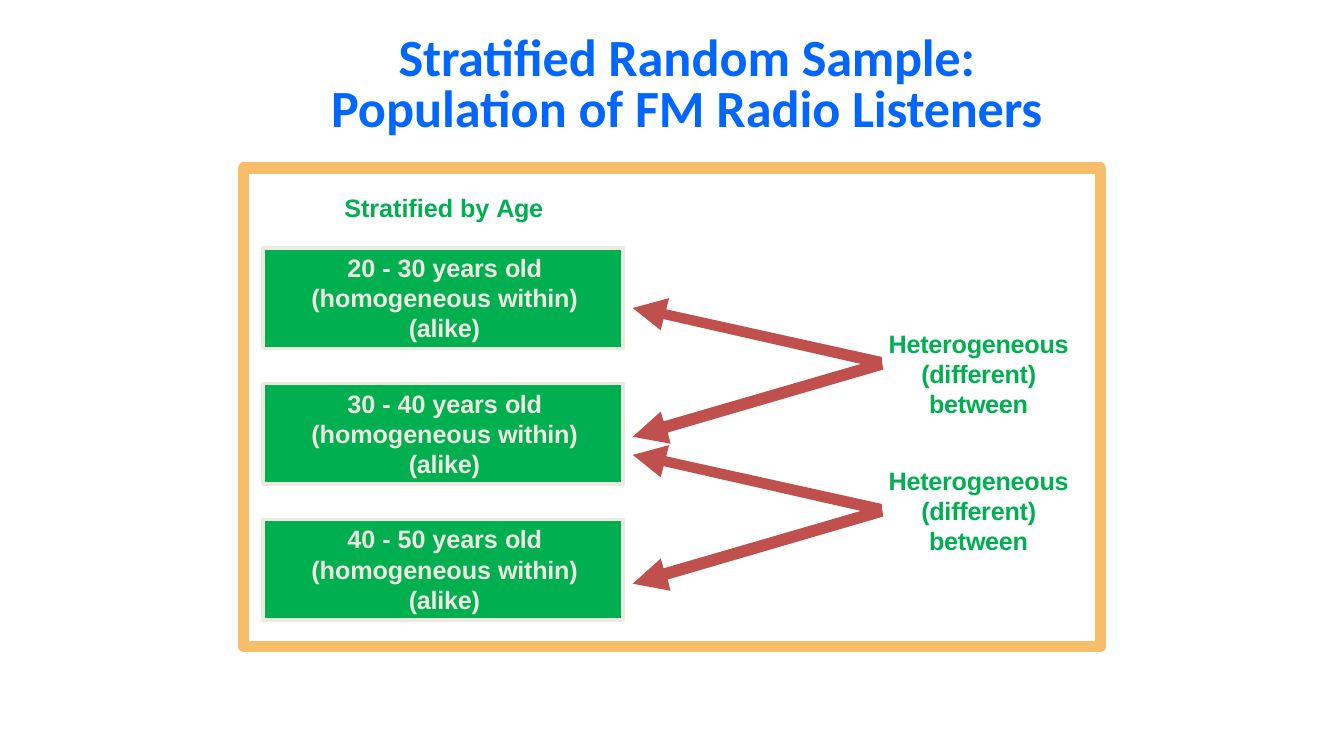
"""Build a slide explaining a stratified random sample of radio listeners."""
from dataclasses import dataclass

from pptx import Presentation
from pptx import util as u
from pptx.dml.color import RGBColor
from pptx.enum import shapes, text

PX = u.Inches(1) // 96

BLUE = RGBColor(0x00, 0x66, 0xFF)
GREEN = RGBColor(0x00, 0xAF, 0x50)
CREAM = RGBColor(0xED, 0xEB, 0xE0)
RED = RGBColor(0xC0, 0x50, 0x4D)
ORANGE = RGBColor(0xF6, 0xBE, 0x69)

STRATUM_TOP, STRATUM_STEP = 177, 97
ARROW_STEP = 105
ARROW_PAIR = [
    (631, 264), (630, 258), (630, 255), (476, 221), (478, 213), (452, 220),
    (472, 236), (474, 228), (615, 260), (474, 301), (472, 294), (452, 312),
    (479, 317), (477, 309),
]


@dataclass(frozen=True)
class Box:
    left: int
    top: int
    width: int
    height: int

    def emu(self) -> tuple[int, ...]:
        return tuple(n * PX for n in (self.left, self.top, self.width, self.height))


@dataclass(frozen=True)
class Style:
    font: str
    size: float
    spacing: float
    color: RGBColor


@dataclass(frozen=True)
class Piece:
    words: str
    tracking: int = 0


@dataclass(frozen=True)
class Label:
    pieces: tuple[Piece, ...]
    indent: int
    space_before: float
    alignment: text.PP_ALIGN


TITLE_STYLE = Style("Calibri", 28, 26.9, BLUE)
STRATUM_STYLE = Style("Arial", 13.5, 16.2, CREAM)
LABEL_STYLE = Style("Arial", 13.5, 16.2, GREEN)

TITLE = (
    Piece("Stratified ", -10), Piece("Random "), Piece("Sample: ", -10),
    Piece("Population of FM Radio "), Piece("Listeners", -10),
)
AGES = ("20 - 30", "30 - 40", "40 - 50")
BETWEEN = (Piece("Heterogeneous (different) between", -10),)
LABELS = (
    Label((Piece("Stratified by "), Piece("Age", -20)), 72, 0, text.PP_ALIGN.LEFT),
    Label(BETWEEN, 459, 56.7, text.PP_ALIGN.CENTER),
    Label(BETWEEN, 459, 24.8, text.PP_ALIGN.CENTER),
)


def prepare_frame(shape, anchor: text.MSO_ANCHOR, left: int, top: int, right: int, bottom: int):
    frame = shape.text_frame
    frame.word_wrap = True
    frame.auto_size = text.MSO_AUTO_SIZE.NONE
    frame.vertical_anchor = anchor
    frame.margin_left, frame.margin_top = left * PX, top * PX
    frame.margin_right, frame.margin_bottom = right * PX, bottom * PX
    return frame


def write_pieces(paragraph, pieces: tuple[Piece, ...], style: Style,
                 alignment: text.PP_ALIGN = text.PP_ALIGN.CENTER) -> None:
    paragraph.alignment = alignment
    paragraph.line_spacing = u.Pt(style.spacing)
    for piece in pieces:
        run = paragraph.add_run()
        run.text = piece.words
        run.font.name = style.font
        run.font.size = u.Pt(style.size)
        run.font.bold = True
        run.font.color.rgb = style.color
        if piece.tracking:
            run._r.get_or_add_rPr().set("spc", str(piece.tracking))


def add_rectangle(slide, box: Box, line: RGBColor, weight: int, fill: RGBColor | None = None):
    shape = slide.shapes.add_shape(shapes.MSO_SHAPE.RECTANGLE, *box.emu())
    shape.shadow.inherit = False
    if fill is None:
        shape.fill.background()
    else:
        shape.fill.solid()
        shape.fill.fore_color.rgb = fill
    shape.line.color.rgb = line
    shape.line.width = u.Pt(weight)
    return shape


def add_stratum(slide, index: int, age: str) -> None:
    box = Box(188, STRATUM_TOP + index * STRATUM_STEP, 257, 72)
    frame = prepare_frame(add_rectangle(slide, box, CREAM, 2, GREEN),
                          text.MSO_ANCHOR.MIDDLE, 32, 0, 30, 1)
    pieces = (Piece(f"{age} years "), Piece("old ", -20),
              Piece("(homogeneous "), Piece("within) (alike)", -10))
    write_pieces(frame.paragraphs[0], pieces, STRATUM_STYLE)


def add_arrows(slide, pairs: int) -> None:
    start, *outline = ARROW_PAIR
    builder = slide.shapes.build_freeform(*start, scale=PX)
    for pair in range(pairs):
        shift = pair * ARROW_STEP
        if pair:
            builder.move_to(start[0], start[1] + shift)
        builder.add_line_segments([(x, y + shift) for x, y in outline], close=True)
    shape = builder.convert_to_shape()
    shape.shadow.inherit = False
    shape.fill.solid()
    shape.fill.fore_color.rgb = RED
    shape.line.fill.background()


def add_population(slide) -> None:
    border = add_rectangle(slide, Box(174, 120, 612, 342), ORANGE, 6)
    frame = prepare_frame(border, text.MSO_ANCHOR.TOP, 0, 17, 21, 0)
    for index, label in enumerate(LABELS):
        paragraph = frame.add_paragraph() if index else frame.paragraphs[0]
        write_pieces(paragraph, label.pieces, LABEL_STYLE, label.alignment)
        paragraph.space_before = u.Pt(label.space_before)
        paragraph._p.get_or_add_pPr().set("marL", str(label.indent * PX))


def main() -> None:
    presentation = Presentation()
    presentation.slide_width, presentation.slide_height = 960 * PX, 540 * PX
    slide = presentation.slides.add_slide(presentation.slide_layouts.get_by_name("Title Only"))

    title = slide.shapes.title
    title.left, title.top, title.width, title.height = Box(234, 16, 513, 84).emu()
    frame = prepare_frame(title, text.MSO_ANCHOR.MIDDLE, 0, 9, 0, 0)
    write_pieces(frame.paragraphs[0], TITLE, TITLE_STYLE)

    for index, age in enumerate(AGES):
        add_stratum(slide, index, age)
    add_arrows(slide, len(AGES) - 1)
    add_population(slide)

    presentation.save("out.pptx")


if __name__ == "__main__":
    main()
